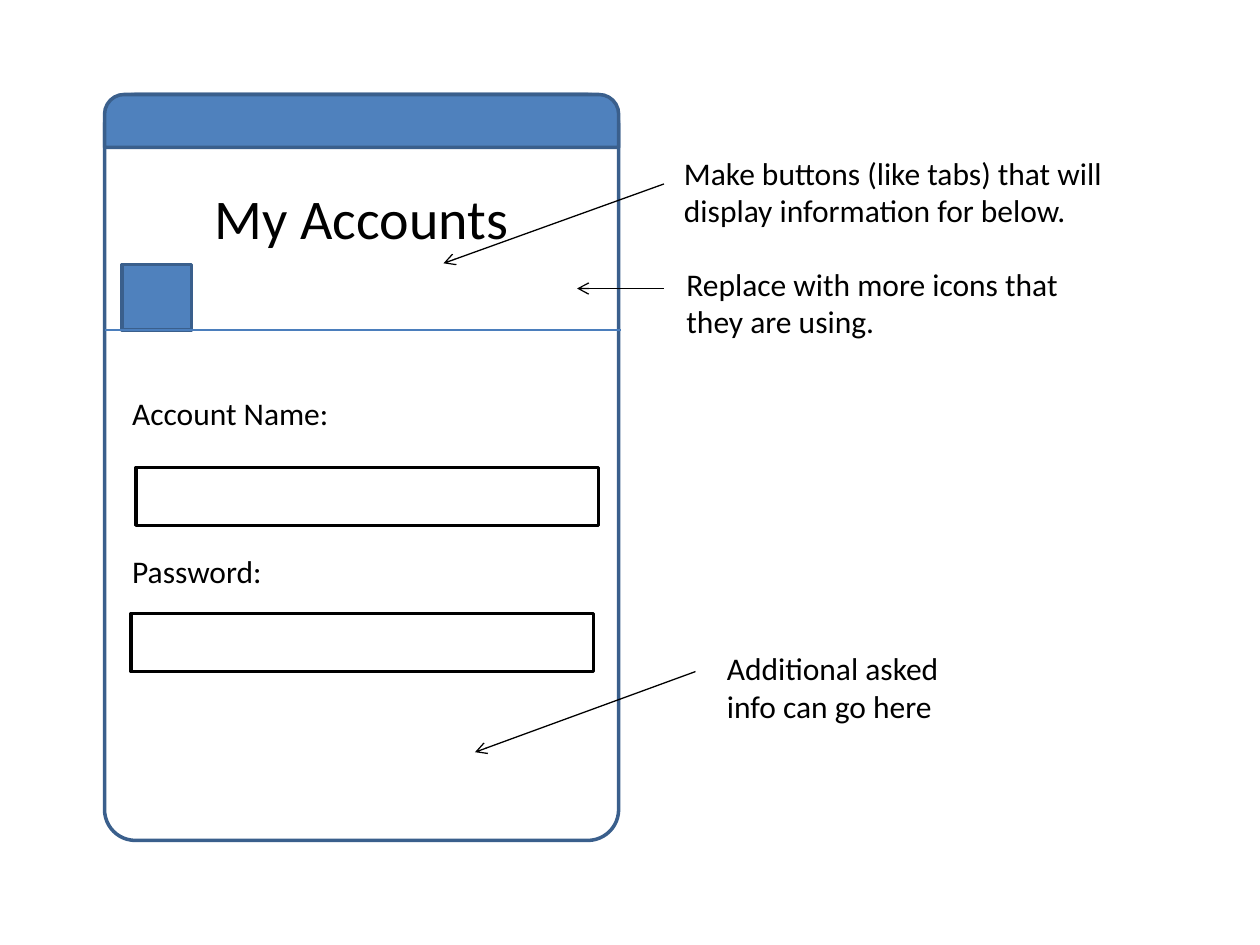
from dataclasses import dataclass

from lxml.etree import SubElement
from pptx import Presentation
from pptx.dml.color import RGBColor
from pptx.enum.shapes import MSO_CONNECTOR, MSO_SHAPE
from pptx.enum.text import PP_ALIGN
from pptx.oxml.ns import qn
from pptx.util import Inches, Pt


@dataclass(frozen=True)
class Theme:
    font: str = "Calibri"
    title_size: int = 32
    body_size: int = 18
    ink: str = "000000"
    accent: str = "4F81BD"
    frame: str = "3A5F8C"
    divider: str = "4B7EBC"
    outline: float = 2
    divider_width: float = 1.5
    arrow_width: float = 0.75


THEME = Theme()

PHONE_LEFT, PHONE_TOP, PHONE_WIDTH = 0.83, 0.75, 4.08
FIELD_SIZE = (3.67, 0.46)
SHAPES = [
    (MSO_SHAPE.RECTANGLE, (0.97, 2.1, 0.55, 0.52), [], THEME.accent, THEME.frame),
    (MSO_SHAPE.ROUNDED_RECTANGLE, (PHONE_LEFT, PHONE_TOP, PHONE_WIDTH, 5.92), [0.06], None, THEME.frame),
    (MSO_SHAPE.ROUND_2_SAME_RECTANGLE, (PHONE_LEFT, PHONE_TOP, PHONE_WIDTH, 0.42), [0.37, 0],
     THEME.accent, THEME.frame),
    (MSO_SHAPE.RECTANGLE, (1.08, 3.71, *FIELD_SIZE), [], None, THEME.ink),
    (MSO_SHAPE.RECTANGLE, (1.04, 4.87, *FIELD_SIZE), [], None, THEME.ink),
]
TITLE = ("My Accounts", (1.5, 1.41, 2.74, 0.64))
TEXTS = [
    ("Make buttons (like tabs) that will display information for below.", (5.33, 1.17, 3.92, 0.71)),
    ("Replace with more icons that they are using.", (5.35, 2.05, 3.33, 0.71)),
    ("Account Name:", (0.95, 3.08, 1.92, 0.4)),
    ("Password:", (0.95, 4.33, 1.92, 0.4)),
    ("Additional asked info can go here", (5.67, 5.1, 2.25, 0.71)),
]
DIVIDER = (PHONE_LEFT, 2.62, 4.93, 2.62)
ARROWS = [
    (5.27, 1.46, 3.52, 2.09),
    (5.27, 2.29, 4.58, 2.29),
    (5.52, 5.33, 3.77, 5.97),
]


def color(value):
    return RGBColor.from_string(value)


def add_outline(page, kind, place, adjustments, fill, line):
    shape = page.shapes.add_shape(kind, *map(Inches, place))
    shape.shadow.inherit = False
    for index, value in enumerate(adjustments):
        shape.adjustments[index] = value
    if fill:
        shape.fill.solid()
        shape.fill.fore_color.rgb = color(fill)
    else:
        shape.fill.background()
    shape.line.color.rgb = color(line)
    shape.line.width = Pt(THEME.outline)


def add_text(page, text, place, size=THEME.body_size, align=PP_ALIGN.LEFT):
    box = page.shapes.add_textbox(*map(Inches, place))
    box.text_frame.word_wrap = True
    box.text_frame.text = text
    para = box.text_frame.paragraphs[0]
    para.alignment = align
    font = para.runs[0].font
    font.name, font.size = THEME.font, Pt(size)
    font.color.rgb = color(THEME.ink)


def add_line(page, ends, line, width, arrow=False):
    connector = page.shapes.add_connector(MSO_CONNECTOR.STRAIGHT, *map(Inches, ends))
    connector.line.color.rgb = color(line)
    connector.line.width = Pt(width)
    if arrow:
        SubElement(connector.line._get_or_add_ln(), qn("a:tailEnd"), type="arrow")
    SubElement(connector._element.spPr, qn("a:effectLst"))


def main():
    """Build the annotated account screen wireframe."""
    deck = Presentation()
    deck.slide_width, deck.slide_height = Inches(10), Inches(7.5)
    page = deck.slides.add_slide(deck.slide_layouts[6])
    for shape in SHAPES:
        add_outline(page, *shape)
    add_text(page, *TITLE, THEME.title_size, PP_ALIGN.CENTER)
    for text, place in TEXTS:
        add_text(page, text, place)
    add_line(page, DIVIDER, THEME.divider, THEME.divider_width)
    for ends in ARROWS:
        add_line(page, ends, THEME.ink, THEME.arrow_width, arrow=True)
    deck.save("out.pptx")


if __name__ == "__main__":
    main()
